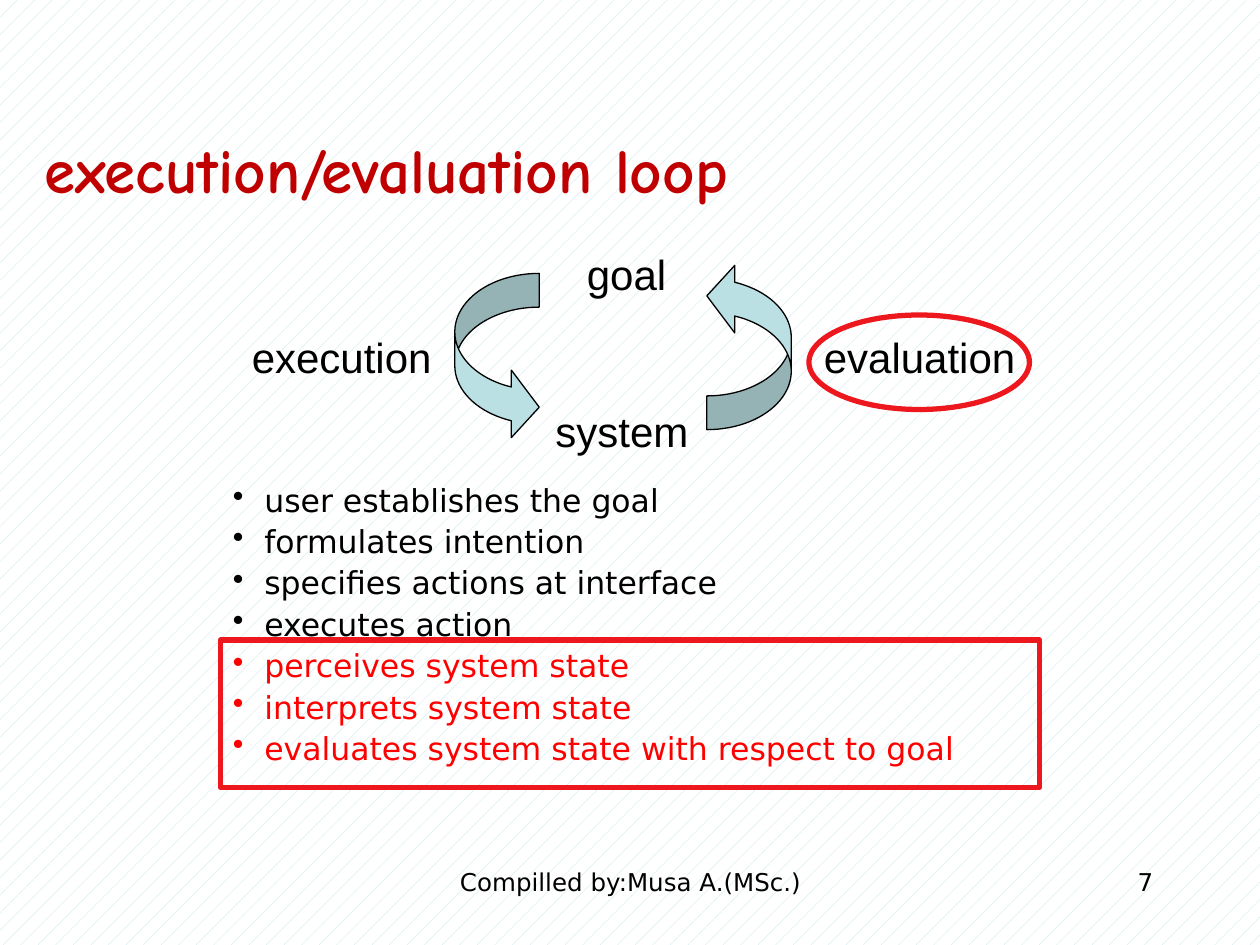
import pptx
import pptx.util
import pptx.oxml.ns
import pptx.dml.color
import pptx.enum.dml
import pptx.enum.shapes
import pptx.enum.text
import lxml.etree

Inches = pptx.util.Inches
Pt = pptx.util.Pt
Shape = pptx.enum.shapes.MSO_SHAPE
Align = pptx.enum.text.PP_ALIGN
Anchor = pptx.enum.text.MSO_ANCHOR

BLACK, RED, DARK_RED = "000000", "FF0000", "C00000"
PALE_BLUE, WHITE, MARKER = "BBE0E3", "FFFFFF", "ED181E"


def color(value):
    return pptx.dml.color.RGBColor.from_string(value)


class LoopSlide:
    label_font = "Arial"
    body_font = "DejaVu Sans"
    title_font = "Comic Neue"

    def __init__(self, page):
        self.page = page

    def background(self):
        fill = self.page.background.fill
        fill.patterned()
        fill.pattern = pptx.enum.dml.MSO_PATTERN.PERCENT_5
        fill.fore_color.rgb = color(PALE_BLUE)
        fill.back_color.rgb = color(WHITE)

    def add_span(self, para, text, font, size, ink=BLACK, bold=False):
        span = para.add_run()
        span.text = text
        span.font.name = font
        span.font.size = Pt(size)
        span.font.bold = bold
        span.font.color.rgb = color(ink)

    def title(self, text, left, top, width, height):
        box = self.page.shapes.title
        box.left, box.top = Inches(left), Inches(top)
        box.width, box.height = Inches(width), Inches(height)
        box.text_frame.vertical_anchor = Anchor.MIDDLE
        para = box.text_frame.paragraphs[0]
        para.alignment = Align.LEFT
        self.add_span(para, text, self.title_font, 36, DARK_RED, True)

    def text_box(self, left, top, width, height, wrap=True):
        box = self.page.shapes.add_textbox(
            Inches(left), Inches(top), Inches(width), Inches(height))
        box.text_frame.word_wrap = wrap
        return box.text_frame

    def label(self, text, left, top, width):
        frame = self.text_box(left, top, width, 0.5, wrap=False)
        self.add_span(frame.paragraphs[0], text, self.label_font, 24)

    def footer(self, text, left, width, alignment):
        para = self.text_box(left, 6.83, width, 0.5).paragraphs[0]
        para.alignment = alignment
        self.add_span(para, text, self.body_font, 14)

    def bullets(self, items, left, top, width, height):
        frame = self.text_box(left, top, width, height)
        for index, (text, ink) in enumerate(items):
            para = frame.add_paragraph() if index else frame.paragraphs[0]
            para.line_spacing = 0.9
            if index:
                para.space_before = Pt(4.2)
            properties = para._p.get_or_add_pPr()
            properties.set("marL", str(Inches(0.25)))
            properties.set("indent", str(-Inches(0.25)))
            bullet = lxml.etree.SubElement(properties, pptx.oxml.ns.qn("a:buChar"))
            bullet.set("char", "•")
            self.add_span(para, text, self.body_font, 18, ink)

    def shape(self, kind, left, top, width, height, line, weight, fill=None):
        shape = self.page.shapes.add_shape(
            kind, Inches(left), Inches(top), Inches(width), Inches(height))
        shape.shadow.inherit = False
        if fill:
            shape.fill.solid()
            shape.fill.fore_color.rgb = color(fill)
        else:
            shape.fill.background()
        shape.line.color.rgb = color(line)
        shape.line.width = Pt(weight)
        return shape

    def loop_arrow(self, left, top, rotation=0):
        arrow = self.shape(Shape.CURVED_RIGHT_ARROW, left, top, 0.67, 1.33,
                           BLACK, 0.75, PALE_BLUE)
        for index, value in enumerate((0.4, 0.8, 0.33)):
            arrow.adjustments[index] = value
        arrow.rotation = rotation

    def marker(self, kind, left, top, width, height):
        self.shape(kind, left, top, width, height, MARKER, 3)


def main():
    deck = pptx.Presentation()
    deck.slide_width, deck.slide_height = Inches(10), Inches(7.5)
    slide = LoopSlide(deck.slides.add_slide(deck.slide_layouts[5]))
    slide.background()
    slide.title("execution/evaluation loop", 0.25, 1, 7.5, 0.67)

    # Steps of the loop, the evaluation half in red
    execution = ["user establishes the goal", "formulates intention",
                 "specifies actions at interface", "executes action"]
    evaluation = ["perceives system state", "interprets system state",
                  "evaluates system state with respect to goal"]
    steps = [(text, BLACK) for text in execution]
    steps += [(text, RED) for text in evaluation]
    slide.bullets(steps, 1.75, 3.8, 7.5, 2.87)

    # Loop diagram
    slide.label("system", 4.31, 3.17, 1.26)
    slide.label("evaluation", 6.44, 2.58, 1.72)
    slide.label("execution", 1.9, 2.58, 1.63)
    slide.loop_arrow(3.61, 2.17)
    slide.loop_arrow(5.61, 2.08, rotation=180)
    slide.label("goal", 4.56, 1.92, 0.83)

    # Red outlines around the evaluation half
    slide.marker(Shape.OVAL, 6.42, 2.5, 1.75, 0.75)
    slide.marker(Shape.RECTANGLE, 1.75, 5.08, 6.5, 1.17)

    # Footer
    slide.footer("Compilled by:Musa A.(MSc.)", 3.42, 3.17, Align.CENTER)
    slide.footer("7", 7.17, 2.08, Align.RIGHT)

    deck.save("out.pptx")


if __name__ == "__main__":
    main()
